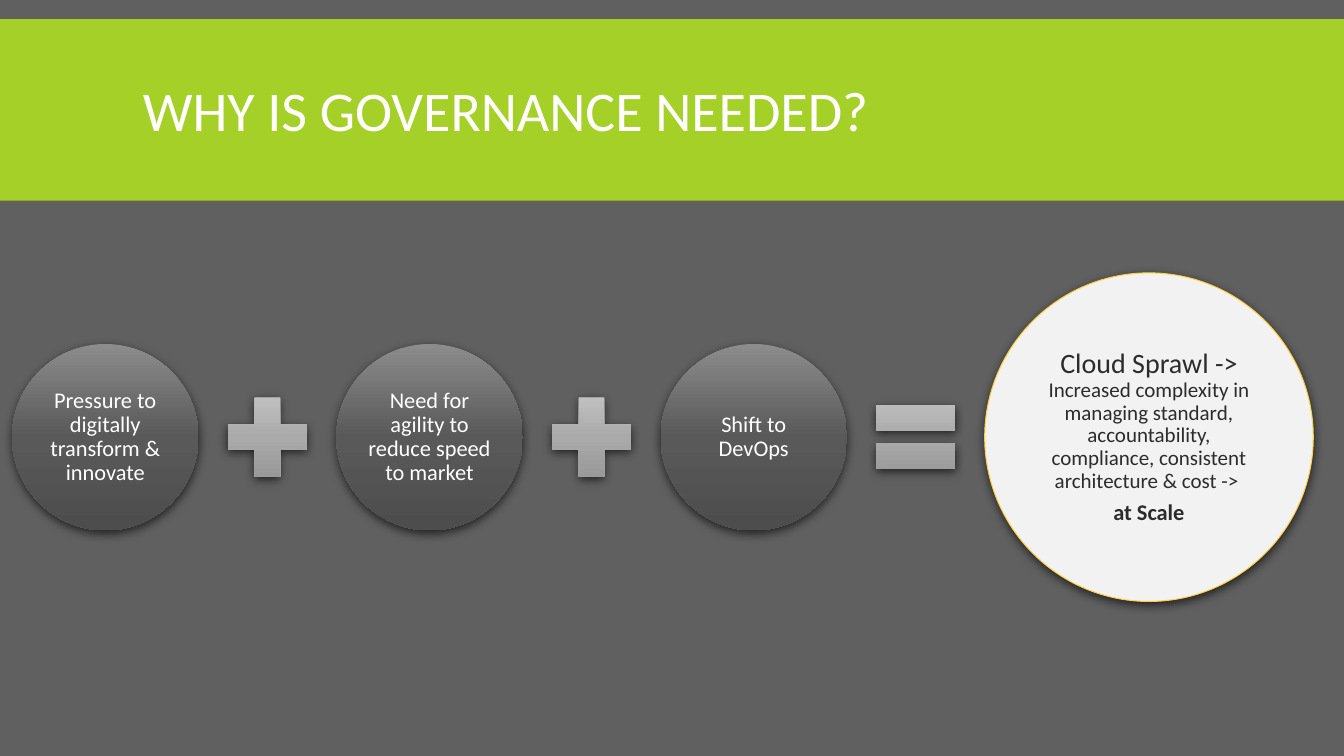
from copy import deepcopy
from dataclasses import dataclass

from pptx import Presentation
from pptx.dml.color import RGBColor
from pptx.enum.shapes import MSO_SHAPE
from pptx.enum.text import MSO_ANCHOR, PP_ALIGN
from pptx.oxml import parse_xml
from pptx.oxml.ns import nsdecls, qn
from pptx.util import Pt

RECTANGLE, ELLIPSE = MSO_SHAPE.RECTANGLE, MSO_SHAPE.OVAL
PLUS, EQUAL = MSO_SHAPE.MATH_PLUS, MSO_SHAPE.MATH_EQUAL
MIDDLE = MSO_ANCHOR.MIDDLE
LEFT, CENTER = PP_ALIGN.LEFT, PP_ALIGN.CENTER


@dataclass(frozen=True)
class Theme:
    font: str = "Calibri"
    background: str = "606060"
    band: str = "A5D028"
    light_text: str = "FFFFFF"
    dark_text: str = "2C2C2C"
    cause_gradient: tuple = ("8C8C8C", "595959", "4D4D4D")
    operator_gradient: tuple = ("C8C8C8", "AAAAAA", "929292")
    result_fill: str = "F2F2F2"
    result_line: str = "FFD040"
    title_size: float = 40
    heading_size: float = 20
    body_size: float = 16
    detail_size: float = 15


THEME = Theme()

CAUSES = [
    ("Pressure to digitally transform & innovate", PLUS),
    ("Need for agility to reduce speed to market", PLUS),
    ("Shift to DevOps", EQUAL),
]
# Each paragraph is a list of runs: text, size, bold
RESULT = [
    [
        ("Cloud Sprawl -> ", THEME.heading_size, False),
        ("Increased complexity in managing standard, accountability, "
         "compliance, consistent architecture & cost -> ", THEME.detail_size, False),
    ],
    [("at Scale", THEME.body_size, True)],
]

EQUATION_LEFT, EQUATION_MIDDLE = 8.6, 312.3
CAUSE_SIZE, OPERATOR_SIZE, RESULT_SIZE = 133.2, 77, 234.7
GAP = 10.7


def rgb(value):
    return RGBColor.from_string(value)


def add_plain_shape(slide, kind, left, top, width, height):
    shape = slide.shapes.add_shape(kind, Pt(left), Pt(top), Pt(width), Pt(height))
    shape.shadow.inherit = False
    shape.line.fill.background()
    return shape


def fill_solid(shape, color):
    shape.fill.solid()
    shape.fill.fore_color.rgb = rgb(color)


def fill_gradient(shape, colors):
    """Fill from top to bottom with three evenly spaced colours."""
    shape.fill.gradient()
    shape.fill.gradient_angle = 270
    stop_list = shape._element.spPr.find(qn("a:gradFill")).find(qn("a:gsLst"))
    stop_list.append(deepcopy(stop_list[-1]))
    for index, (stop, color) in enumerate(zip(shape.fill.gradient_stops, colors)):
        stop.position = index / 2
        stop.color.rgb = rgb(color)


def add_drop_shadow(shape):
    effects = shape._element.spPr.find(qn("a:effectLst"))
    effects.append(parse_xml(
        f'<a:outerShdw {nsdecls("a")} blurRad="{Pt(7)}" dist="{Pt(2.2)}" '
        'dir="5400000" algn="ctr" rotWithShape="0">'
        '<a:srgbClr val="000000"><a:alpha val="63000"/></a:srgbClr></a:outerShdw>'
    ))


def add_equation_part(slide, kind, left, size):
    """Add a square-framed shape centred on the equation's middle line."""
    shape = add_plain_shape(slide, kind, left, EQUATION_MIDDLE - size / 2, size, size)
    add_drop_shadow(shape)
    return shape


def write_text(shape, paragraphs, color, alignment, line_spacing, space_after=0):
    frame = shape.text_frame
    frame.word_wrap = True
    frame.vertical_anchor = MIDDLE
    for index, runs in enumerate(paragraphs):
        paragraph = frame.add_paragraph() if index else frame.paragraphs[0]
        paragraph.alignment = alignment
        paragraph.line_spacing = line_spacing
        paragraph.space_after = Pt(space_after)
        for text, size, bold in runs:
            run = paragraph.add_run()
            run.text = text
            run.font.name = THEME.font
            run.font.size = Pt(size)
            run.font.bold = bold
            run.font.color.rgb = rgb(color)


def write_circle_text(circle, paragraphs, color, inset):
    frame = circle.text_frame
    frame.margin_left = frame.margin_right = Pt(inset)
    frame.margin_top = frame.margin_bottom = Pt(inset)
    write_text(circle, paragraphs, color, CENTER, 0.9, space_after=6)


def add_title(slide, text):
    band = add_plain_shape(slide, RECTANGLE, 0, 13.7, 960, 129.6)
    fill_solid(band, THEME.band)
    box = slide.shapes.add_textbox(Pt(95), Pt(22.3), Pt(770.4), Pt(118.8))
    write_text(box, [[(text, THEME.title_size, False)]], THEME.light_text, LEFT, 0.85)


def add_cause(slide, left, text):
    circle = add_equation_part(slide, ELLIPSE, left, CAUSE_SIZE)
    fill_gradient(circle, THEME.cause_gradient)
    write_circle_text(circle, [[(text, THEME.body_size, False)]], THEME.light_text, 1.6)


def add_operator(slide, kind, left):
    operator = add_equation_part(slide, kind, left, OPERATOR_SIZE)
    fill_gradient(operator, THEME.operator_gradient)


def add_result(slide, left):
    circle = add_equation_part(slide, ELLIPSE, left, RESULT_SIZE)
    fill_solid(circle, THEME.result_fill)
    circle.line.color.rgb = rgb(THEME.result_line)
    circle.line.width = Pt(0.75)
    write_circle_text(circle, RESULT, THEME.dark_text, 2)


def main():
    presentation = Presentation()
    presentation.slide_width, presentation.slide_height = Pt(960), Pt(540)
    slide = presentation.slides.add_slide(presentation.slide_layouts[6])
    slide.background.fill.solid()
    slide.background.fill.fore_color.rgb = rgb(THEME.background)

    add_title(slide, "WHY IS GOVERNANCE NEEDED?")
    left = EQUATION_LEFT
    for text, operator in CAUSES:
        add_cause(slide, left, text)
        left += CAUSE_SIZE + GAP
        add_operator(slide, operator, left)
        left += OPERATOR_SIZE + GAP
    add_result(slide, left)

    presentation.save("out.pptx")


if __name__ == "__main__":
    main()
